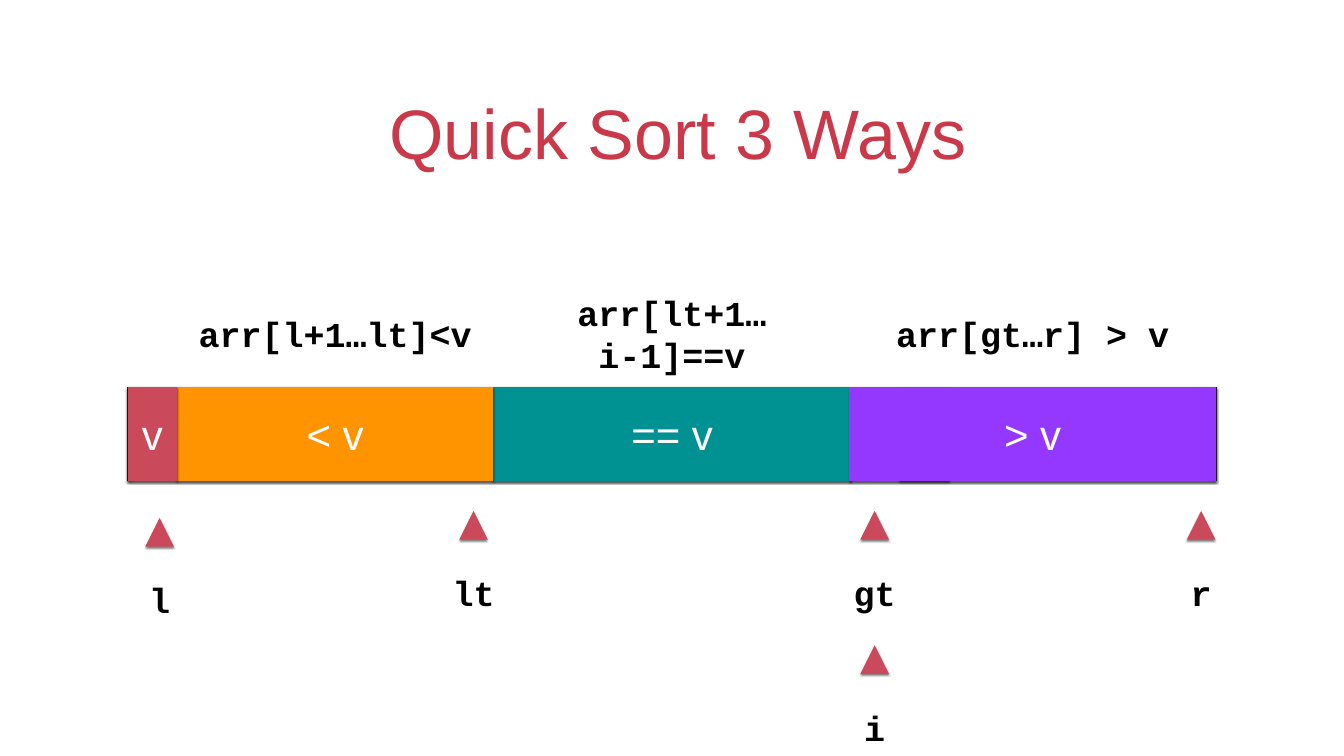
from typing import NamedTuple, Optional

from lxml import etree
from pptx import Presentation
from pptx.dml.color import RGBColor
from pptx.enum import shapes, text
from pptx.oxml import ns
from pptx.util import Pt

COLORS = {
    "title": "C9394A", "pivot": "CA495A", "less": "FF9300", "equal": "009193",
    "greater": "9437FF", "spare": "0096FF", "frame": "212121",
    "label": "000000", "value": "FFFFFF",
}
BAR_TOP, BAR_HEIGHT, CELL = 555, 130, 65.5
TRIANGLE = 41
LABEL_DROP, LABEL_HEIGHT = 83.5, 66.2
CHAR_WIDTH, LABEL_PADDING = 30, 10
INSET = 4


class Block(NamedTuple):
    left: float
    width: float
    color: str
    caption: str = ""
    filled: bool = True
    shadow: bool = True


class Label(NamedTuple):
    left: float
    width: float
    caption: str


class Marker(NamedTuple):
    center: float
    top: float
    name: str


BACK_BLOCKS = [
    Block(1288, CELL, "spare"),
    Block(184.5, 1551, "frame", filled=False),
    Block(706.5, 507.5, "equal", "== v"),
    Block(590, CELL, "less", shadow=False),
    Block(255.5, 446.5, "less", "< v"),
    Block(1216, 518.5, "greater", "> v"),
]
FRONT_BLOCKS = [
    Block(636.5, CELL, "less", shadow=False),
    Block(185, CELL, "pivot", "v"),
]
RANGES = [
    Label(277, 404, "arr[l+1…lt]<v"),
    Label(1273.5, 404, "arr[gt…r] > v"),
    Label(729.5, 461, "arr[lt+1…i-1]==v"),
]
MARKERS = [
    Marker(1716, 730, "r"),
    Marker(1249.5, 730, "gt"),
    Marker(676.5, 730, "lt"),
    Marker(228, 740, "l"),
    Marker(1249.5, 922, "i"),
]


def rgb(name: str) -> RGBColor:
    return RGBColor.from_string(COLORS[name])


def add_shadow(shape) -> None:
    """Give the shape a soft half-transparent shadow straight below."""
    effects = shape._element.spPr.find(ns.qn("a:effectLst"))
    outer = etree.SubElement(
        effects, ns.qn("a:outerShdw"), blurRad=str(Pt(3)), dist=str(Pt(2)),
        dir="5400000", rotWithShape="0")
    black = etree.SubElement(outer, ns.qn("a:srgbClr"), val="000000")
    etree.SubElement(black, ns.qn("a:alpha"), val="50000")


def write(shape, words: str, color: str, size: float, font: str,
          bold: bool = False, wrap: bool = True,
          anchor=text.MSO_ANCHOR.MIDDLE, fit: Optional[int] = None) -> None:
    frame = shape.text_frame
    frame_format = {"word_wrap": wrap, "vertical_anchor": anchor,
                    "auto_size": fit or text.MSO_AUTO_SIZE.NONE}
    frame_format.update({f"margin_{side}": Pt(INSET)
                         for side in ("left", "top", "right", "bottom")})
    for name, value in frame_format.items():
        setattr(frame, name, value)
    line = frame.paragraphs[0]
    line.alignment = text.PP_ALIGN.CENTER
    run = line.add_run()
    run.text = words
    for name, value in {"size": Pt(size), "name": font, "bold": bold}.items():
        setattr(run.font, name, value)
    run.font.color.rgb = rgb(color)


def draw_block(slide, block: Block) -> None:
    bar = slide.shapes.add_shape(
        shapes.MSO_SHAPE.RECTANGLE, Pt(block.left), Pt(BAR_TOP),
        Pt(block.width), Pt(BAR_HEIGHT))
    bar.shadow.inherit = False
    if block.filled:
        bar.fill.solid()
        bar.fill.fore_color.rgb = rgb(block.color)
    else:
        bar.fill.background()
    bar.line.color.rgb = rgb(block.color)
    bar.line.width = Pt(5)
    outline = bar._element.spPr.find(ns.qn("a:ln"))
    etree.SubElement(outline, ns.qn("a:miter"), lim="400000")
    if block.shadow:
        add_shadow(bar)
    if block.caption:
        write(bar, block.caption, "value", 60, "Arial")


def draw_label(parent, label: Label, top: float, wrap: bool) -> None:
    box = parent.shapes.add_textbox(
        Pt(label.left), Pt(top), Pt(label.width), Pt(LABEL_HEIGHT))
    write(box, label.caption, "label", 50, "Courier New", bold=True,
          wrap=wrap, fit=text.MSO_AUTO_SIZE.SHAPE_TO_FIT_TEXT)


def draw_marker(slide, marker: Marker) -> None:
    """Draw a pointer triangle with its index name below, as one group."""
    group = slide.shapes.add_group_shape()
    half, base = TRIANGLE / 2, marker.top + TRIANGLE
    outline = group.shapes.build_freeform(Pt(marker.center), Pt(marker.top))
    outline.add_line_segments([
        (Pt(marker.center + half), Pt(base)),
        (Pt(marker.center - half), Pt(base))], close=True)
    pointer = outline.convert_to_shape()
    pointer.shadow.inherit = False
    pointer.fill.solid()
    pointer.fill.fore_color.rgb = rgb("pivot")
    pointer.line.fill.background()
    add_shadow(pointer)
    width = CHAR_WIDTH * len(marker.name) + LABEL_PADDING
    draw_label(group, Label(marker.center - width / 2, width, marker.name),
               marker.top + LABEL_DROP, wrap=False)


def main() -> None:
    deck = Presentation()
    deck.slide_width, deck.slide_height = Pt(1920), Pt(1080)
    slide = deck.slides.add_slide(deck.slide_layouts[5])

    title = slide.shapes.title
    place = {"left": 139.5, "top": 91.5, "width": 1640, "height": 160}
    for side, length in place.items():
        setattr(title, side, Pt(length))
    write(title, "Quick Sort 3 Ways", "title", 100, "Arial",
          anchor=text.MSO_ANCHOR.BOTTOM)
    title_format = title.text_frame.paragraphs[0]._p.get_or_add_pPr()
    title_format.set("marL", "0")
    title_format.set("indent", str(Pt(18)))

    for block in BACK_BLOCKS:
        draw_block(slide, block)
    for label in RANGES:
        draw_label(slide, label, 443.5, wrap=True)
    for block in FRONT_BLOCKS:
        draw_block(slide, block)
    for marker in MARKERS:
        draw_marker(slide, marker)
    deck.save("out.pptx")


if __name__ == "__main__":
    main()
